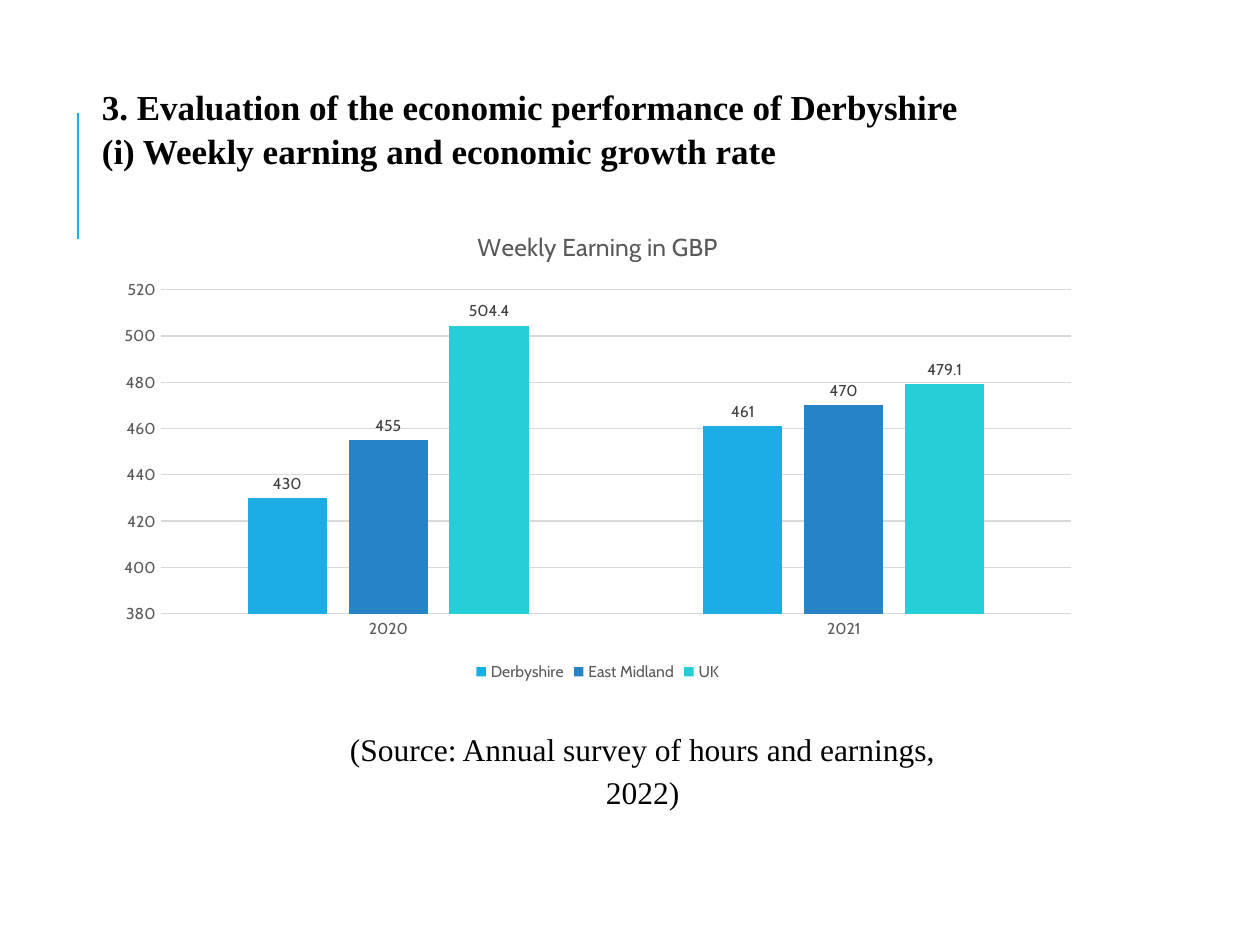
from typing import NamedTuple

from lxml.etree import SubElement
from pptx import Presentation
from pptx.chart.data import CategoryChartData
from pptx.dml.color import RGBColor
from pptx.enum.chart import XL_CHART_TYPE, XL_LABEL_POSITION, XL_LEGEND_POSITION, XL_TICK_MARK
from pptx.enum.shapes import MSO_CONNECTOR
from pptx.enum.text import PP_ALIGN
from pptx.oxml.ns import qn
from pptx.slide import Slide
from pptx.text.text import Font
from pptx.util import Inches, Pt

BLACK = RGBColor(0x00, 0x00, 0x00)
DARK_GRAY = RGBColor(0x40, 0x40, 0x40)
GRAY = RGBColor(0x59, 0x59, 0x59)
LIGHT_GRAY = RGBColor(0xD9, 0xD9, 0xD9)
SKY = RGBColor(0x1C, 0xAD, 0xE4)
BLUE = RGBColor(0x26, 0x83, 0xC6)
TURQUOISE = RGBColor(0x27, 0xCE, 0xD7)

TEXT_FONT = "Times New Roman"
CHART_FONT = "Cabin"


class Box(NamedTuple):
    left: float
    top: float
    width: float
    height: float


class Line(NamedTuple):
    text: str
    spacing: float


class Region(NamedTuple):
    name: str
    earnings: tuple[float, float]
    color: RGBColor


YEARS = ("2020", "2021")
REGIONS = (
    Region("Derbyshire", (430, 461), SKY),
    Region("East Midland", (455, 470), BLUE),
    Region("UK", (504.4, 479.1), TURQUOISE),
)
HEADING = (
    Line("3. Evaluation of the economic performance of Derbyshire", 1.15),
    Line("(i) Weekly earning and economic growth rate", 1.05),
)
SOURCE = (Line("(Source: Annual survey of hours and earnings, 2022)", 1.15),)


def style_font(font: Font, name: str, size: float, color: RGBColor, bold: bool = False) -> None:
    font.name = name
    font.size = Pt(size)
    font.bold = bold
    font.color.rgb = color


def add_text(slide: Slide, box: Box, lines: tuple[Line, ...], size: float,
             align: PP_ALIGN, bold: bool = False) -> None:
    frame = slide.shapes.add_textbox(*map(Inches, box)).text_frame
    frame.word_wrap = True
    for index, line in enumerate(lines):
        paragraph = frame.add_paragraph() if index else frame.paragraphs[0]
        paragraph.text = line.text
        paragraph.alignment = align
        paragraph.line_spacing = line.spacing
        style_font(paragraph.font, TEXT_FONT, size, BLACK, bold)


def add_accent(slide: Slide) -> None:
    accent = slide.shapes.add_connector(
        MSO_CONNECTOR.STRAIGHT, Inches(0.62), Inches(1.9), Inches(0.62), Inches(0.9))
    accent.line.color.rgb = SKY
    accent.line.width = Pt(1.5)
    SubElement(accent.element.spPr, qn("a:effectLst"))


def add_earnings_chart(slide: Slide, box: Box) -> None:
    earnings = CategoryChartData(number_format="General")
    earnings.categories = YEARS
    for region in REGIONS:
        earnings.add_series(region.name, region.earnings)
    chart = slide.shapes.add_chart(
        XL_CHART_TYPE.COLUMN_CLUSTERED, *map(Inches, box), earnings).chart
    style_font(chart.font, CHART_FONT, 10, BLACK)

    heading = chart.chart_title.text_frame.paragraphs[0]
    heading.text = "Weekly Earning in GBP"
    style_font(heading.font, CHART_FONT, 14, GRAY)

    chart.has_legend = True
    chart.legend.position = XL_LEGEND_POSITION.BOTTOM
    chart.legend.include_in_layout = False
    style_font(chart.legend.font, CHART_FONT, 9, GRAY)

    years, pounds = chart.category_axis, chart.value_axis
    for axis in (years, pounds):
        axis.major_tick_mark = axis.minor_tick_mark = XL_TICK_MARK.NONE
        style_font(axis.tick_labels.font, CHART_FONT, 9, GRAY)
    pounds.minimum_scale, pounds.maximum_scale, pounds.major_unit = 380, 520, 20
    pounds.tick_labels.number_format = "#,##0"
    pounds.tick_labels.number_format_is_linked = False
    pounds.format.line.fill.background()
    for rule in (years.format.line, pounds.major_gridlines.format.line):
        rule.color.rgb = LIGHT_GRAY
        rule.width = Pt(0.75)

    plot = chart.plots[0]
    plot.vary_by_categories = False
    plot.gap_width = 219
    plot.overlap = -27
    for region, columns in zip(REGIONS, plot.series):
        columns.format.fill.solid()
        columns.format.fill.fore_color.rgb = region.color
        labels = columns.data_labels
        labels.show_value = True
        labels.position = XL_LABEL_POSITION.OUTSIDE_END
        style_font(labels.font, CHART_FONT, 9, DARK_GRAY)


def main() -> None:
    presentation = Presentation()
    presentation.slide_width = Inches(10)
    presentation.slide_height = Inches(7.5)
    slide = presentation.slides.add_slide(presentation.slide_layouts[6])
    add_accent(slide)
    add_text(slide, Box(0.71, 0.58, 8.11, 0.82), HEADING, 20, PP_ALIGN.LEFT, bold=True)
    add_earnings_chart(slide, Box(0.83, 1.66, 7.83, 3.79))
    add_text(slide, Box(2.6, 5.7, 5, 0.8), SOURCE, 18, PP_ALIGN.CENTER)
    presentation.save("out.pptx")


if __name__ == "__main__":
    main()
